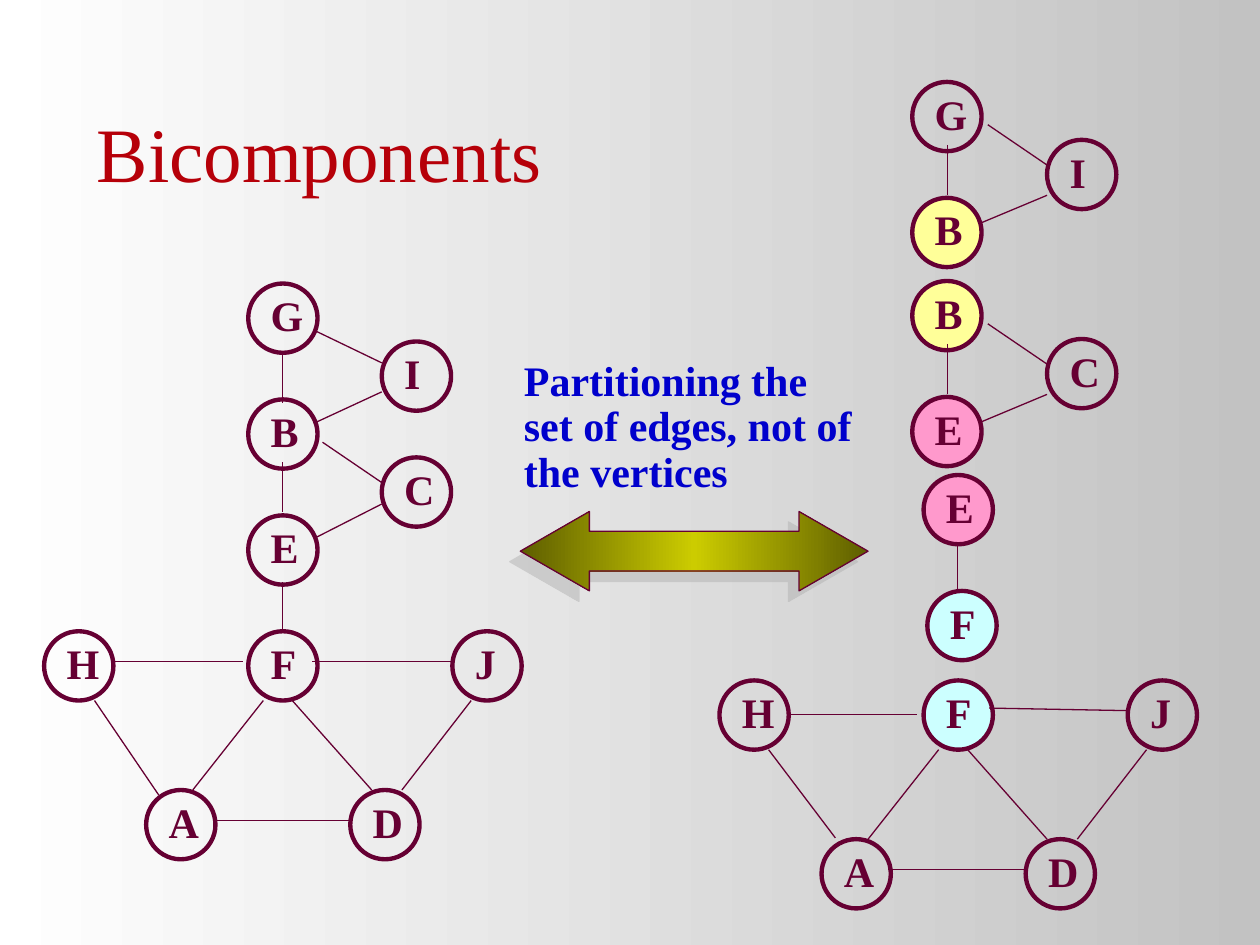
from dataclasses import dataclass
from lxml import etree
from pptx import Presentation
from pptx.dml.color import RGBColor
from pptx.enum.shapes import MSO_CONNECTOR as Link, MSO_SHAPE as Kind
from pptx.enum.text import MSO_ANCHOR as Anchor
from pptx.oxml import parse_xml
from pptx.oxml.ns import nsdecls, qn
from pptx.util import Inches, Pt

FONT = "Times New Roman"
PLUM, RED, BLUE = "660033", "B60009", "0000CC"
YELLOW, PINK, CYAN = "FFFF99", "FF99CC", "CCFFFF"
SIZE = 0.55


@dataclass
class Node:
    name: str
    x: float
    y: float
    fill: str = ""


@dataclass
class Edge:
    x1: float
    y1: float
    x2: float
    y2: float


def color(code: str) -> RGBColor:
    return RGBColor.from_string(code)


def outline(line, width: float) -> None:
    line.color.rgb = color(PLUM)
    line.width = Pt(width)


def blend(shape, stops: list[tuple[int, str]]) -> None:
    """Fill a shape with a gradient that runs from right to left."""
    shape.fill.gradient()
    shape.fill.gradient_angle = 180
    row = shape._element.spPr.find(qn("a:gradFill")).find(qn("a:gsLst"))
    for old in list(row):
        row.remove(old)
    for pos, code in stops:
        row.append(parse_xml(f'<a:gs {nsdecls("a")} pos="{pos * 1000}">'
                             f'<a:srgbClr val="{code}"/></a:gs>'))


def write(shapes, text: str, box: tuple, size: int, code: str,
          bold: bool = True, anchor=Anchor.TOP, space: float = 1.0) -> None:
    frame = shapes.add_textbox(*map(Inches, box)).text_frame
    frame.word_wrap = True
    frame.vertical_anchor = anchor
    para = frame.paragraphs[0]
    para.line_spacing = space
    run = para.add_run()
    run.text = text
    font = run.font
    font.name, font.size, font.bold = FONT, Pt(size), bold
    font.color.rgb = color(code)


def draw_node(shapes, node: Node) -> None:
    group = shapes.add_group_shape().shapes
    ring = group.add_shape(Kind.OVAL, Inches(node.x), Inches(node.y),
                           Inches(SIZE), Inches(SIZE))
    ring.shadow.inherit = False
    if node.fill:
        ring.fill.solid()
        ring.fill.fore_color.rgb = color(node.fill)
    else:
        ring.fill.background()
    outline(ring.line, 2.5)
    write(group, node.name, (node.x + 0.08, node.y, 0.47, 0.5), 24, PLUM)


def draw_edge(shapes, edge: Edge) -> None:
    line = shapes.add_connector(Link.STRAIGHT, Inches(edge.x1), Inches(edge.y1),
                                Inches(edge.x2), Inches(edge.y2))
    outline(line.line, 0.75)
    etree.SubElement(line._element.spPr, qn("a:effectLst"))


def draw_loop(shapes, y: float, top: Node, side: Node, low: Node) -> None:
    """Draw a three-vertex bicomponent; its parts are placed relative to y."""
    edges = [Edge(7.52, 0.5, 7.52, 0.9), Edge(7.84, 0.34, 8.31, 0.66),
             Edge(7.76, 1.13, 8.31, 0.9)]
    for edge in edges:
        edge.y1 += y
        edge.y2 += y
        draw_edge(shapes, edge)
    for node in (top, side, low):
        node.y += y
        draw_node(shapes, node)


def draw_base(shapes, dx: float, dy: float, fill: str, own: list[Edge]) -> None:
    """Draw the bicomponent H, F, J, A, D with its own and its common edges."""
    for i, name in enumerate("HAFDJ"):
        y = 6.27 if name in "AD" else 5.01
        draw_node(shapes, Node(name, 0.35 + 0.81 * i + dx, y + dy,
                               fill if name == "F" else ""))
    common = [Edge(1.69, 6.51, 2.8, 6.51), Edge(3.19, 6.27, 3.74, 5.56),
              Edge(1.53, 6.27, 2.09, 5.56), Edge(2.32, 5.56, 2.95, 6.27)]
    for e in common:
        draw_edge(shapes, Edge(e.x1 + dx, e.y1 + dy, e.x2 + dx, e.y2 + dy))
    for edge in own:
        draw_edge(shapes, edge)


def draw_left(shapes) -> None:
    for i, name in enumerate("GBE"):
        draw_node(shapes, Node(name, 1.97, 2.25 + 0.92 * i))
    for i, name in enumerate("IC"):
        draw_node(shapes, Node(name, 3.03, 2.71 + 0.92 * i))
    for edge in (Edge(2.24, 2.81, 2.24, 3.2), Edge(2.24, 3.67, 2.24, 4.06),
                 Edge(2.24, 4.62, 2.24, 5.01), Edge(2.49, 2.62, 3.03, 2.88),
                 Edge(2.49, 3.36, 3.03, 3.11), Edge(2.56, 3.51, 3.03, 3.83),
                 Edge(2.5, 4.27, 3.03, 4)):
        draw_edge(shapes, edge)
    draw_base(shapes, 0, 0, "", [Edge(0.9, 5.25, 1.93, 5.25),
                                 Edge(2.48, 5.25, 3.58, 5.25),
                                 Edge(0.75, 5.56, 1.26, 6.31)])


def draw_right(shapes) -> None:
    draw_loop(shapes, 0.65, Node("G", 7.24, 0), Node("I", 8.31, 0.46),
              Node("B", 7.24, 0.92, YELLOW))
    draw_loop(shapes, 2.23, Node("B", 7.24, 0, YELLOW), Node("C", 8.31, 0.46),
              Node("E", 7.24, 0.92, PINK))
    # The second loop's spine shows on top of its filled upper vertex
    draw_edge(shapes, Edge(7.52, 2.73, 7.52, 3.12))
    draw_node(shapes, Node("E", 7.33, 3.77, PINK))
    draw_node(shapes, Node("F", 7.36, 4.69, CYAN))
    draw_edge(shapes, Edge(7.6, 4.3, 7.6, 4.69))
    draw_base(shapes, 5.36, 0.39, CYAN, [Edge(6.26, 5.67, 7.28, 5.67),
                                         Edge(7.85, 5.62, 8.94, 5.64),
                                         Edge(6.1, 5.95, 6.63, 6.65)])


def draw_arrow(shapes) -> None:
    arrow = shapes.add_shape(Kind.LEFT_RIGHT_ARROW, Inches(4.13), Inches(4.06),
                             Inches(2.76), Inches(0.63))
    arrow.adjustments[0], arrow.adjustments[1] = 0.5, 0.87
    blend(arrow, [(0, "5E5E00"), (50, "CCCC00"), (100, "5E5E00")])
    outline(arrow.line, 0.75)
    arrow._element.spPr.append(parse_xml(
        f'<a:effectLst {nsdecls("a")}><a:outerShdw dist="{Pt(8.5)}" '
        'dir="8100000" algn="ctr" rotWithShape="0"><a:srgbClr val="B2B2B2">'
        '<a:alpha val="50000"/></a:srgbClr></a:outerShdw></a:effectLst>'))


def main() -> None:
    deck = Presentation()
    deck.slide_width, deck.slide_height = Inches(10), Inches(7.5)
    shapes = deck.slides.add_slide(deck.slide_layouts[6]).shapes
    back = shapes.add_shape(Kind.RECTANGLE, 0, 0, Inches(10), Inches(7.5))
    back.shadow.inherit = False
    back.line.fill.background()
    blend(back, [(0, "C2C2C2"), (100, "FFFFFF")])
    write(shapes, "Bicomponents", (0.67, 0.79, 9.12, 0.83), 44, RED,
          bold=False, anchor=Anchor.BOTTOM)
    draw_left(shapes)
    draw_right(shapes)
    draw_arrow(shapes)
    write(shapes, "Partitioning the set of edges, not of the vertices",
          (4.06, 2.81, 2.84, 1.18), 24, BLUE, space=0.9)
    deck.save("out.pptx")


if __name__ == "__main__":
    main()
